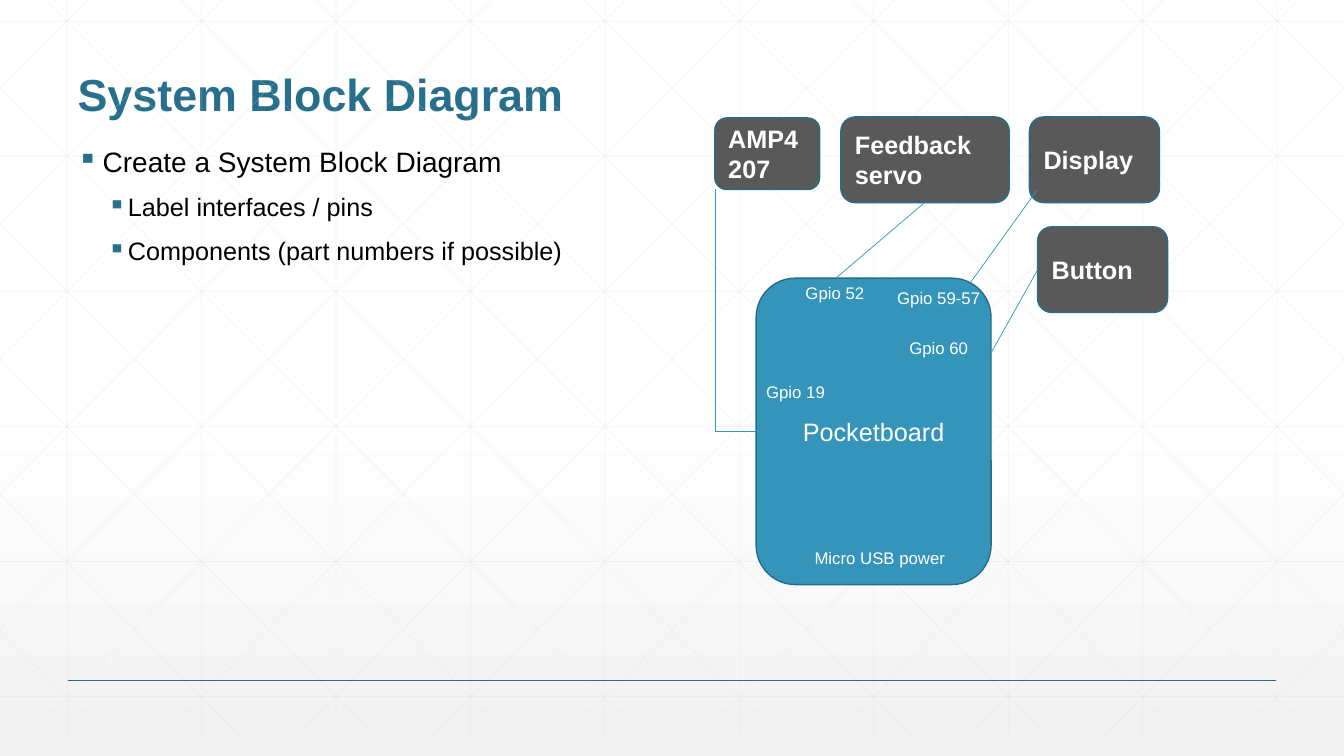
from lxml import etree
from pptx import Presentation
from pptx.dml.color import RGBColor
from pptx.enum.shapes import MSO_CONNECTOR, MSO_SHAPE
from pptx.enum.text import MSO_ANCHOR, PP_ALIGN
from pptx.oxml.ns import qn
from pptx.util import Inches, Pt

STRAIGHT = MSO_CONNECTOR.STRAIGHT
ELBOW = MSO_CONNECTOR.ELBOW
ROUNDED = MSO_SHAPE.ROUNDED_RECTANGLE
LEFT, CENTER = PP_ALIGN.LEFT, PP_ALIGN.CENTER
MIDDLE, BOTTOM = MSO_ANCHOR.MIDDLE, MSO_ANCHOR.BOTTOM

TEAL = RGBColor(0x27, 0x6F, 0x8B)
EDGE = RGBColor(0x26, 0x6D, 0x8A)
BLUE = RGBColor(0x34, 0x94, 0xBA)
GRAY = RGBColor(0x59, 0x59, 0x59)
GRID = RGBColor(0xD9, 0xD9, 0xD9)
PALE = RGBColor(0xF2, 0xF2, 0xF2)
WHITE = RGBColor(0xFF, 0xFF, 0xFF)
BLACK = RGBColor(0, 0, 0)
FONT = "Arial"

W, H = 13.33, 7.5
MARGIN = 0.67
GRID_TOP, GRID_BOTTOM = -0.21, 7.29
COL, ROW = 4 / 3, 1.34
SLANT = 0.994

TITLE = "System Block Diagram"
BULLETS = [
    (0, "Create a System Block Diagram"),
    (1, "Label interfaces / pins"),
    (1, "Components (part numbers if possible)"),
]
BULLET_STYLES = [(20, 18, 0.25, -0.25), (18, 12, 0.5, -0.2)]
BOARD = ("Pocketboard", 7.5, 2.76, 2.33, 3.04)
PARTS = [
    ("AMP4207", 7.09, 1.17, 1.04, 0.71),
    ("Feedback servo", 8.34, 1.16, 1.67, 0.85),
    ("Display", 10.21, 1.16, 1.29, 0.85),
    ("Button", 10.29, 2.25, 1.29, 0.85),
]
PINS = [
    ("Gpio 59-57", 8.8, 2.81, 1.03),
    ("Gpio 60", 8.92, 3.3, 0.79),
    ("Gpio 52", 7.89, 2.76, 0.79),
    ("Gpio 19", 7.5, 3.74, 0.79),
    ("Micro USB power", 7.98, 5.38, 1.51),
]
WIRES = [
    (10.29, 1.88, 9.57, 2.88),
    (10.29, 2.68, 9.83, 3.5),
    (9.17, 2.01, 8.29, 2.76),
]
AMP_WIRE = (7.09, 1.88, 7.5, 4.28)


def style(p, size, color, bold=False, align=LEFT):
    p.font.name, p.font.size, p.font.bold = FONT, Pt(size), bold
    p.font.color.rgb = color
    p.alignment = align


def add_line(x1, y1, x2, y2, color, width, kind=STRAIGHT):
    line = slide.shapes.add_connector(kind, *map(Inches, (x1, y1, x2, y2)))
    line.line.color.rgb = color
    line.line.width = Pt(width)
    etree.SubElement(line._element.spPr, qn("a:effectLst"))
    return line


def add_grid_line(*ends):
    line = add_line(*ends, GRID, 0.5)
    color = line._element.spPr.find(".//" + qn("a:srgbClr"))
    etree.SubElement(color, qn("a:alpha"), val="25000")


def add_block(text, x, y, w, h, fill, bold, align):
    sp = slide.shapes.add_shape(ROUNDED, *map(Inches, (x, y, w, h)))
    sp.shadow.inherit = False
    sp.fill.solid()
    sp.fill.fore_color.rgb = fill
    sp.line.color.rgb = EDGE
    sp.line.width = Pt(1)
    tf = sp.text_frame
    tf.word_wrap = True
    tf.vertical_anchor = MIDDLE
    tf.text = text
    style(tf.paragraphs[0], 18, WHITE, bold, align)


def add_text_box(x, y, w, h, wrap):
    tf = slide.shapes.add_textbox(*map(Inches, (x, y, w, h))).text_frame
    tf.word_wrap = wrap
    return tf


prs = Presentation()
prs.slide_width, prs.slide_height = Inches(W), Inches(H)
slide = prs.slides.add_slide(prs.slide_layouts[5])

fill = slide.background.fill
fill.gradient()
fill.gradient_angle = 270
for stop, position, color in zip(fill.gradient_stops, (0.53, 1), (WHITE, PALE)):
    stop.position = position
    stop.color.rgb = color

for i in range(10):
    x = (i + 0.5) * COL
    add_grid_line(x, 0, x, GRID_BOTTOM)
for j in range(6):
    y = 0.21 + j * ROW
    add_grid_line(0, y, W, y)
for i in range(-5, 10):
    start = 0.25 + i * COL
    y1 = max(0, GRID_TOP - start / SLANT)
    y2 = min(GRID_BOTTOM, GRID_TOP + (W - start) / SLANT)
    x1, x2 = (start + SLANT * (y - GRID_TOP) for y in (y1, y2))
    add_grid_line(x1, y1, x2, y2)
    add_grid_line(W - x1, y1, W - x2, y2)
add_line(MARGIN, 0.9 * H, W - MARGIN, 0.9 * H, TEAL, 1)

title = slide.shapes.title
title.left, title.top, title.width, title.height = map(Inches, (MARGIN, 0.25, 12, 1))
title.text_frame.text = TITLE
title.text_frame.vertical_anchor = BOTTOM
p = title.text_frame.paragraphs[0]
style(p, 32, TEAL, True)
p.line_spacing = 0.9

tf = add_text_box(MARGIN, 1.42, 12, 5.17, True)
for i, (level, text) in enumerate(BULLETS):
    p = tf.add_paragraph() if i else tf.paragraphs[0]
    size, before, margin, indent = BULLET_STYLES[level]
    p.text = text
    p.level = level
    p.line_spacing = 0.9
    p.space_before = Pt(before)
    style(p, size, BLACK)
    pPr = p._p.get_or_add_pPr()
    pPr.set("marL", str(Inches(margin)))
    pPr.set("indent", str(Inches(indent)))
    color = etree.Element(qn("a:buClr"))
    etree.SubElement(color, qn("a:srgbClr"), val=str(TEAL))
    mark = etree.Element(qn("a:buChar"), char="▪")
    at = pPr.index(pPr.find(qn("a:defRPr")))
    pPr[at:at] = [color, mark]

add_block(*BOARD, BLUE, False, CENTER)
for part in PARTS:
    add_block(*part, GRAY, True, LEFT)

for text, x, y, w in PINS:
    tf = add_text_box(x, y, w, 0.3, False)
    tf.text = text
    style(tf.paragraphs[0], 12, WHITE)

for wire in WIRES:
    add_line(*wire, BLUE, 0.5)
spPr = add_line(*AMP_WIRE, BLUE, 0.5, ELBOW)._element.spPr
spPr.find(qn("a:prstGeom")).set("prst", "bentConnector2")
spPr.find(qn("a:xfrm")).set("rot", "10800000")

prs.save("out.pptx")
